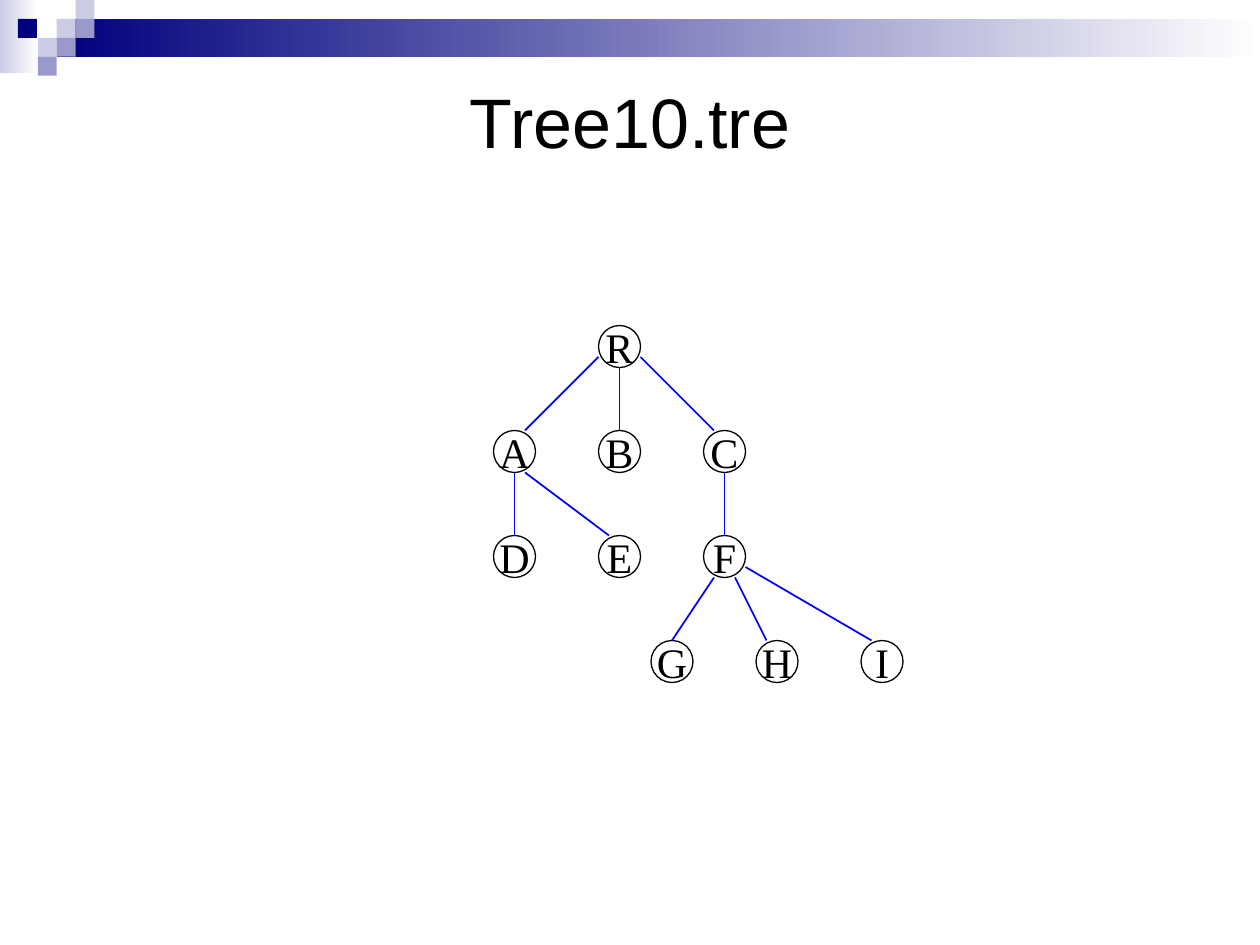
from dataclasses import dataclass

from lxml import etree
from pptx import Presentation
from pptx.dml.color import RGBColor
from pptx.enum.shapes import MSO_CONNECTOR, MSO_SHAPE
from pptx.enum.text import MSO_ANCHOR, PP_ALIGN
from pptx.oxml.ns import qn
from pptx.util import Pt

RECTANGLE, OVAL = MSO_SHAPE.RECTANGLE, MSO_SHAPE.OVAL
STRAIGHT = MSO_CONNECTOR.STRAIGHT
MIDDLE, CENTER = MSO_ANCHOR.MIDDLE, PP_ALIGN.CENTER
TITLE_ONLY = 5


@dataclass(frozen=True)
class Theme:
    white: str = "FFFFFF"
    black: str = "000000"
    navy: str = "00007D"
    lavender: str = "CCCCE6"
    periwinkle: str = "9999CC"
    edge: str = "0000FF"
    title_font: str = "Arial"
    node_font: str = "Times New Roman"
    title_size: float = 40
    node_size: float = 24
    node_line: float = 0.75
    edge_line: float = 1


class SlideBuilder:
    def __init__(self, page, theme):
        self.page = page
        self.theme = theme

    def label(self, frame, text, font, size, wrap):
        frame.word_wrap = wrap
        frame.vertical_anchor = MIDDLE
        para = frame.paragraphs[0]
        para.alignment = CENTER
        span = para.add_run()
        span.text = text
        for name, value in {"name": font, "size": Pt(size)}.items():
            setattr(span.font, name, value)
        span.font.color.rgb = RGBColor.from_string(self.theme.black)

    def title(self, text, left, top, width, height):
        box = self.page.shapes.title
        place = {"left": left, "top": top, "width": width, "height": height}
        for name, value in place.items():
            setattr(box, name, Pt(value))
        self.label(box.text_frame, text, self.theme.title_font,
                   self.theme.title_size, True)

    def shape(self, kind, left, top, width, height):
        box = self.page.shapes.add_shape(
            kind, Pt(left), Pt(top), Pt(width), Pt(height))
        box.shadow.inherit = False
        return box

    def block(self, left, top, width, height, color):
        box = self.shape(RECTANGLE, left, top, width, height)
        box.fill.solid()
        box.fill.fore_color.rgb = RGBColor.from_string(color)
        box.line.fill.background()
        return box

    def fading_block(self, left, top, width, height, color):
        box = self.block(left, top, width, height, color)
        box.fill.gradient()
        box.fill.gradient_angle = 0
        for stop, shade in zip(box.fill.gradient_stops, (color, self.theme.white)):
            stop.color.rgb = RGBColor.from_string(shade)

    def node(self, text, x, y, radius):
        box = self.shape(OVAL, x - radius, y - radius, 2 * radius, 2 * radius)
        box.fill.solid()
        box.fill.fore_color.rgb = RGBColor.from_string(self.theme.white)
        box.line.color.rgb = RGBColor.from_string(self.theme.black)
        box.line.width = Pt(self.theme.node_line)
        self.label(box.text_frame, text, self.theme.node_font,
                   self.theme.node_size, False)

    def edge(self, start, end):
        line = self.page.shapes.add_connector(
            STRAIGHT, *(Pt(value) for value in (*start, *end)))
        line.line.color.rgb = RGBColor.from_string(self.theme.edge)
        line.line.width = Pt(self.theme.edge_line)
        etree.SubElement(line._element.spPr, qn("a:effectLst"))


def main():
    theme = Theme()
    deck = Presentation()
    deck.slide_width, deck.slide_height = Pt(720), Pt(540)
    page = deck.slides.add_slide(deck.slide_layouts[TITLE_ONLY])
    builder = SlideBuilder(page, theme)

    # Header band and its mosaic of squares (column, row, color)
    cell = 10.8
    builder.fading_block(0, 0, 22, 42, theme.lavender)
    builder.fading_block(3 * cell, cell, 720 - 3 * cell, 2 * cell, theme.navy)
    squares = [
        (3, 1, theme.lavender), (4, 0, theme.lavender), (4, 1, theme.periwinkle),
        (2, 2, theme.lavender), (0.95, 1, theme.navy), (3, 2, theme.periwinkle),
        (2, 3, theme.periwinkle),
    ]
    for column, row, color in squares:
        builder.block(column * cell, row * cell, cell, cell, color)

    builder.title("Tree10.tre", 36, 36, 648, 66)

    # Tree nodes: (half column, level)
    radius, half_column, level_gap = 12, 30, 60
    nodes = {
        "R": (2, 0),
        "A": (0, 1), "B": (2, 1), "C": (4, 1),
        "D": (0, 2), "E": (2, 2), "F": (4, 2),
        "G": (3, 3), "H": (5, 3), "I": (7, 3),
    }
    centers = {name: (294 + column * half_column, 198 + level * level_gap)
               for name, (column, level) in nodes.items()}
    for name, (x, y) in centers.items():
        builder.node(name, x, y, radius)

    # Edges: parent, child, offset leaving the parent, x offset at the child's top
    below, left_side, right_side = (0, radius), (-radius, 6), (radius, 6)
    edges = [
        ("R", "A", left_side, 6), ("R", "B", below, 0), ("R", "C", right_side, -6),
        ("A", "D", below, 0), ("A", "E", (6, radius), -6), ("C", "F", below, 0),
        ("F", "G", (-6, radius), 0), ("F", "H", (6, radius), -6),
        ("F", "I", right_side, -6),
    ]
    for parent, child, (out_x, out_y), in_x in edges:
        (x1, y1), (x2, y2) = centers[parent], centers[child]
        builder.edge((x1 + out_x, y1 + out_y), (x2 + in_x, y2 - radius))

    deck.save("out.pptx")


if __name__ == "__main__":
    main()
